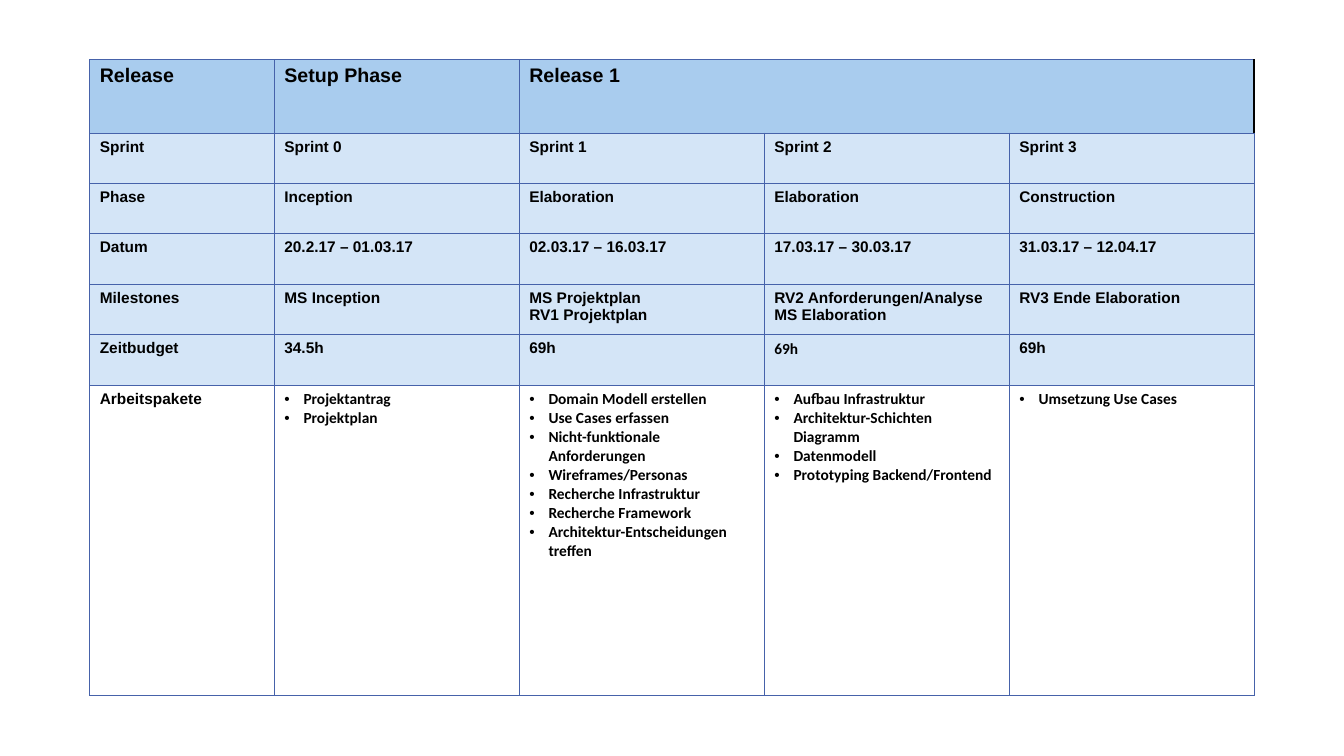
from lxml import etree
from pptx import Presentation
from pptx.dml.color import RGBColor
from pptx.oxml import ns
from pptx.util import Inches, Pt

COLORS = {"header": "A9CCEE", "band": "D4E5F7", "plain": "FFFFFF",
          "border": "4662AA", "ink": "000000"}
LEFT, TOP = 0.89, 0.59
COLUMN_WIDTHS = [1.83] + [2.43] * 4
ROW_HEIGHTS = [0.73] + [0.5] * 5 + [3.08]
ROWS = [
    ["Release", "Setup Phase", "Release 1", None, None],
    ["Sprint", "Sprint 0", "Sprint 1", "Sprint 2", "Sprint 3"],
    ["Phase", "Inception", "Elaboration", "Elaboration", "Construction"],
    ["Datum", "20.2.17 – 01.03.17", "02.03.17 – 16.03.17",
     "17.03.17 – 30.03.17", "31.03.17 – 12.04.17"],
    ["Milestones", "MS Inception", ["MS Projektplan", "RV1 Projektplan"],
     ["RV2 Anforderungen/Analyse", "MS Elaboration"], "RV3 Ende Elaboration"],
    ["Zeitbudget", "34.5h", "69h", "69h", "69h"],
    ["Arbeitspakete",
     ["Projektantrag", "Projektplan"],
     ["Domain Modell erstellen", "Use Cases erfassen",
      "Nicht-funktionale Anforderungen", "Wireframes/Personas",
      "Recherche Infrastruktur", "Recherche Framework",
      "Architektur-Entscheidungen treffen"],
     ["Aufbau Infrastruktur", "Architektur-Schichten Diagramm",
      "Datenmodell", "Prototyping Backend/Frontend"],
     ["Umsetzung Use Cases"]],
]
HEADER_ROW, BUDGET_ROW, PACKAGE_ROW = 0, 5, 6
RELEASE_COLUMN, LAST_COLUMN = 2, 4
CALIBRI_BUDGET = (BUDGET_ROW, 3)


def add_border(cell, side, color, width):
    properties = cell._tc.get_or_add_tcPr()
    line = etree.SubElement(properties, ns.qn("a:ln" + side), w=str(Pt(width)))
    fill = etree.SubElement(line, ns.qn("a:solidFill"))
    etree.SubElement(fill, ns.qn("a:srgbClr"), val=COLORS[color])


def add_bullet(para):
    properties = para._p.get_or_add_pPr()
    properties.set("marL", str(Inches(0.19)))
    properties.set("indent", str(Inches(-0.19)))
    etree.SubElement(properties, ns.qn("a:buFont"), typeface="Arial")
    etree.SubElement(properties, ns.qn("a:buChar"), char="•")


def style_cell(cell, row, column):
    release_end = row == HEADER_ROW and column >= RELEASE_COLUMN
    for side in "LRTB":
        if side == "R" and release_end:
            add_border(cell, side, "ink", 1.5)
        else:
            add_border(cell, side, "border", 0.75)
    fill = {HEADER_ROW: "header", PACKAGE_ROW: "plain"}.get(row, "band")
    cell.fill.solid()
    cell.fill.fore_color.rgb = RGBColor.from_string(COLORS[fill])


def write_cell(cell, content, row, column):
    package = row == PACKAGE_ROW and column > 0
    calibri = package or (row, column) == CALIBRI_BUDGET
    lines = content if isinstance(content, list) else [content]
    for index, line in enumerate(lines):
        frame = cell.text_frame
        para = frame.add_paragraph() if index else frame.paragraphs[0]
        if package:
            add_bullet(para)
        span = para.add_run()
        span.text = line
        span.font.name = "Calibri" if calibri else "Arial"
        span.font.size = Pt(14 if row == HEADER_ROW else 11)
        span.font.bold = True
        span.font.color.rgb = RGBColor.from_string(COLORS["ink"])


def main():
    deck = Presentation()
    deck.slide_width, deck.slide_height = Inches(13.33), Inches(7.5)
    page = deck.slides.add_slide(deck.slide_layouts[6])
    plan = page.shapes.add_table(
        len(ROWS), len(COLUMN_WIDTHS), Inches(LEFT), Inches(TOP),
        Inches(sum(COLUMN_WIDTHS)), Inches(sum(ROW_HEIGHTS))).table
    for column, width in zip(plan.columns, COLUMN_WIDTHS):
        column.width = Inches(width)
    for row, height in zip(plan.rows, ROW_HEIGHTS):
        row.height = Inches(height)
    plan.cell(HEADER_ROW, RELEASE_COLUMN).merge(plan.cell(HEADER_ROW, LAST_COLUMN))
    for row, contents in enumerate(ROWS):
        for column, content in enumerate(contents):
            cell = plan.cell(row, column)
            style_cell(cell, row, column)
            if content:
                write_cell(cell, content, row, column)
    deck.save("out.pptx")


if __name__ == "__main__":
    main()
